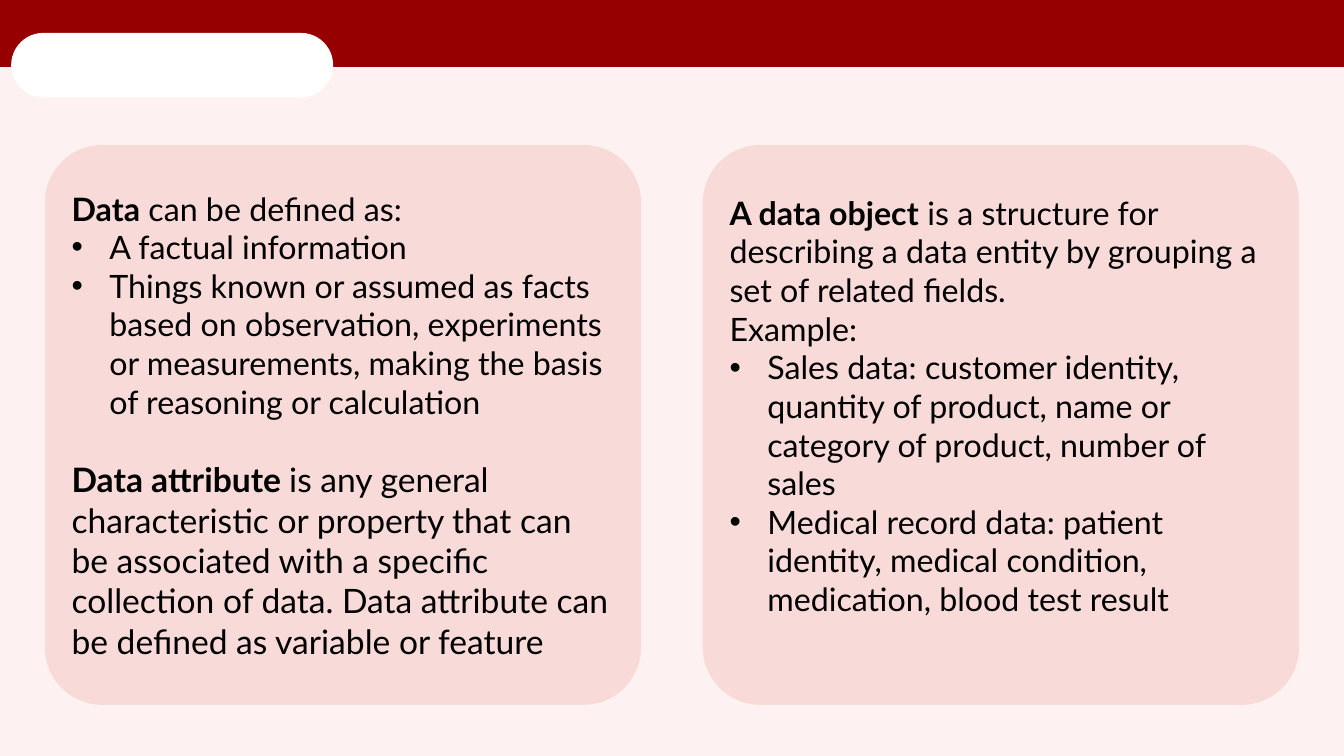
"""Build the slide that defines data, data attributes and data objects."""
from dataclasses import dataclass

import lxml.etree
import pptx
import pptx.dml.color
import pptx.enum.shapes
import pptx.enum.text
import pptx.oxml.ns
import pptx.util

Pt = pptx.util.Pt
SHAPE = pptx.enum.shapes.MSO_SHAPE


@dataclass(frozen=True)
class Theme:
    font: str = "Lato"
    background: str = "FDF2F1"
    bar: str = "960000"
    tab: str = "FFFFFF"
    card: str = "F8DBD8"
    text: str = "000000"
    body: int = 23
    large: int = 24
    line: float = 27.6
    indent: int = 27


def rgb(value):
    return pptx.dml.color.RGBColor.from_string(value)


class SlideBuilder:
    def __init__(self, slide, theme):
        self.s = slide
        self.theme = theme
        fill = slide.background.fill
        fill.solid()
        fill.fore_color.rgb = rgb(theme.background)

    def box(self, kind, bounds, color, radius=None, line=None):
        sp = self.s.shapes.add_shape(kind, *map(Pt, bounds))
        sp.shadow.inherit = False
        sp.fill.solid()
        sp.fill.fore_color.rgb = rgb(color)
        if line:
            sp.line.color.rgb = rgb(color)
            sp.line.width = Pt(line)
        else:
            sp.line.fill.background()
        if radius is not None:
            sp.adjustments[0] = radius
        return sp

    def card(self, bounds, paragraphs, space_below=0):
        sp = self.box(SHAPE.ROUNDED_RECTANGLE, bounds, self.theme.card, 0.103)
        tf = sp.text_frame
        tf.word_wrap = True
        tf.vertical_anchor = pptx.enum.text.MSO_ANCHOR.MIDDLE
        tf.margin_bottom += Pt(space_below)
        for i, paragraph in enumerate(paragraphs):
            p = tf.add_paragraph() if i else tf.paragraphs[0]
            self.paragraph(p, **paragraph)

    def paragraph(self, p, text, bold="", bullet=False, size=None, before=0):
        p.alignment = pptx.enum.text.PP_ALIGN.LEFT
        if before:
            p.space_before = Pt(before)
        if bullet:
            self.bullet(p)
        for part, is_bold in ((bold, True), (text, False)):
            if part:
                r = p.add_run()
                r.text = part
                r.font.name = self.theme.font
                r.font.size = Pt(size or self.theme.body)
                r.font.bold = is_bold
                r.font.color.rgb = rgb(self.theme.text)

    def bullet(self, p):
        pPr = p._p.get_or_add_pPr()
        indent = Pt(self.theme.indent)
        pPr.set("marL", str(indent))
        pPr.set("indent", str(-indent))
        qn = pptx.oxml.ns.qn
        lxml.etree.SubElement(pPr, qn("a:buFont"), typeface="Arial")
        lxml.etree.SubElement(pPr, qn("a:buChar"), char="•")


def main():
    theme = Theme()
    prs = pptx.Presentation()
    prs.slide_width, prs.slide_height = Pt(960), Pt(540)
    slide = SlideBuilder(prs.slides.add_slide(prs.slide_layouts[6]), theme)

    slide.box(SHAPE.RECTANGLE, (0, 0, 960, 47), theme.bar, line=1.5)
    slide.box(SHAPE.ROUNDED_RECTANGLE, (8, 23.5, 230, 46), theme.tab, 0.5)

    card_top, card_width, card_height = 103.5, 426, 400
    slide.card((32, card_top, card_width, card_height), [
        dict(bold="Data", text=" can be defined as:"),
        dict(text="A factual information", bullet=True),
        dict(text="Things known or assumed as facts based on observation, "
                  "experiments or measurements, making the basis of "
                  "reasoning or calculation", bullet=True),
        dict(bold="Data attribute ",
             text="is any general characteristic or property that can be "
                  "associated with a specific collection of data. Data "
                  "attribute can be defined as variable or feature",
             size=theme.large, before=theme.line),
    ])
    slide.card((502, card_top, card_width, card_height), [
        dict(bold="A data object",
             text=" is a structure for describing a data entity by grouping "
                  "a set of related fields."),
        dict(text="Example:"),
        dict(text="Sales data: customer identity, quantity of product, name "
                  "or category of product, number of sales", bullet=True),
        dict(text="Medical record data: patient identity, medical condition, "
                  "medication, blood test result", bullet=True),
    ], space_below=theme.line)

    prs.save("out.pptx")


if __name__ == "__main__":
    main()
